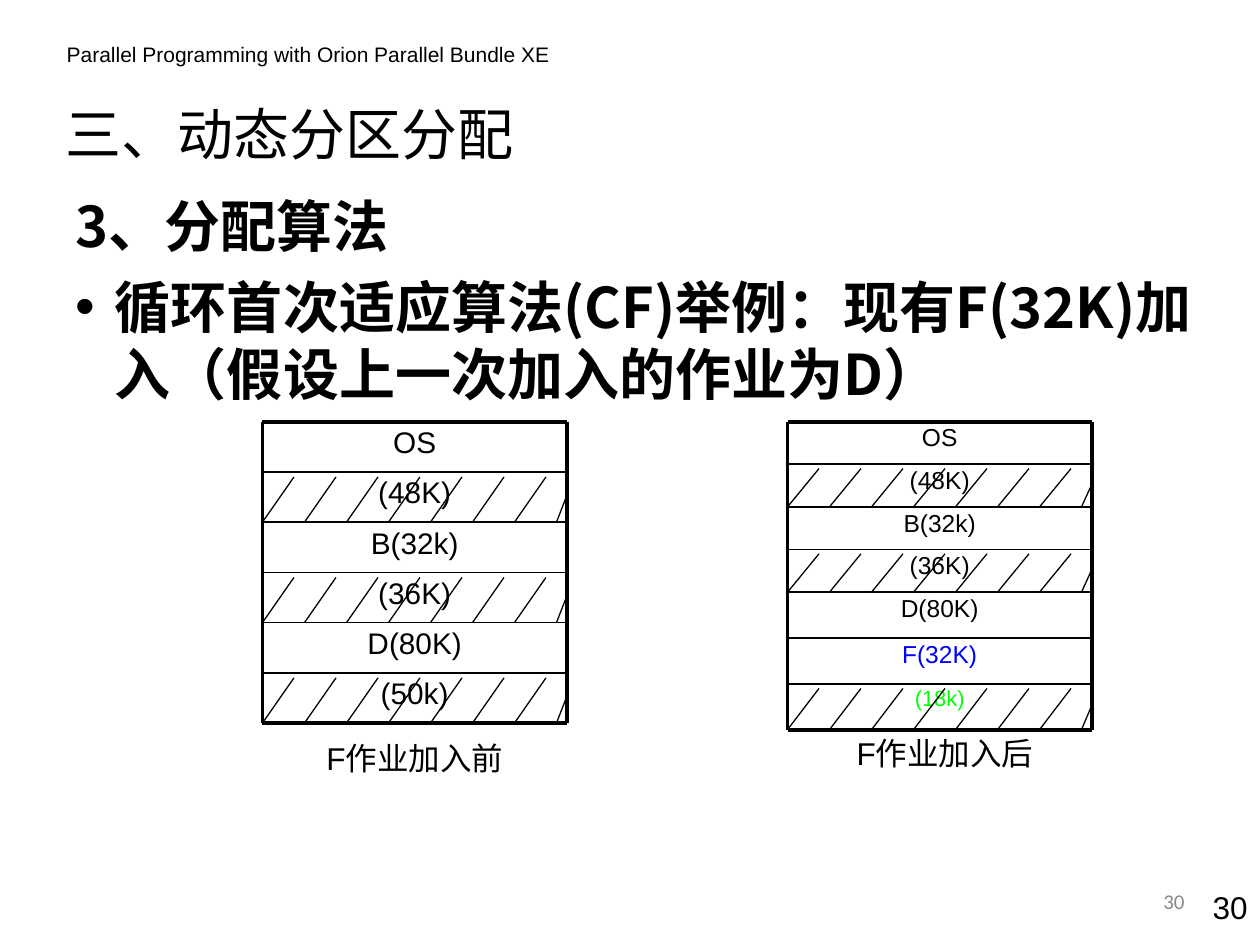
from dataclasses import dataclass

from lxml import etree
from pptx import Presentation
from pptx.dml.color import RGBColor
from pptx.enum.shapes import MSO_CONNECTOR
from pptx.enum.text import MSO_ANCHOR, MSO_AUTO_SIZE, PP_ALIGN
from pptx.oxml.ns import qn
from pptx.util import Pt

STRAIGHT = MSO_CONNECTOR.STRAIGHT
TOP, MIDDLE = MSO_ANCHOR.TOP, MSO_ANCHOR.MIDDLE
NO_FIT = MSO_AUTO_SIZE.NONE
LEFT, CENTER, RIGHT = PP_ALIGN.LEFT, PP_ALIGN.CENTER, PP_ALIGN.RIGHT


@dataclass(frozen=True)
class Theme:
    black: RGBColor = RGBColor(0, 0, 0)
    blue: RGBColor = RGBColor(0, 0, 255)
    green: RGBColor = RGBColor(0, 255, 0)
    gray: RGBColor = RGBColor(0x89, 0x89, 0x89)
    latin: str = "Arial"
    number: str = "Calibri"
    cjk: str = "Noto Sans CJK SC"
    heading: float = 32
    caption: float = 18
    cell: float = 17
    small_cell: float = 14
    tiny_cell: float = 12.5
    small: float = 12
    frame: float = 2.25
    divider: float = 1
    hatch: float = 0.75


theme = Theme()


def add_text(shapes, box, text, size, color=theme.black, font=theme.latin,
             align=LEFT, anchor=TOP, spacing=None):
    tf = shapes.add_textbox(*map(Pt, box)).text_frame
    tf.word_wrap = True
    tf.vertical_anchor = anchor
    p = tf.paragraphs[0]
    p.alignment = align
    p.line_spacing = spacing
    r = p.add_run()
    r.text = text
    r.font.size = Pt(size)
    r.font.name = font
    r.font.color.rgb = color


def add_line(shapes, x1, y1, x2, y2, width):
    sp = shapes.add_connector(STRAIGHT, Pt(x1), Pt(y1), Pt(x2), Pt(y2))
    sp.line.color.rgb = theme.black
    sp.line.width = Pt(width)
    etree.SubElement(sp._element.spPr, qn("a:effectLst"))


prs = Presentation()
prs.slide_width, prs.slide_height = Pt(720), Pt(540)
s = prs.slides.add_slide(prs.slide_layouts[1])

add_text(s.shapes, (31, 20, 295, 21.6),
         "Parallel Programming with Orion Parallel Bundle XE", theme.small)

title, body = s.placeholders
headings = [
    (title, (30, 49, 408, 54), MIDDLE, ["三、动态分区分配"]),
    (body, (36, 103, 684, 186), TOP,
     ["3、分配算法", "循环首次适应算法(CF)举例：现有F(32K)加入（假设上一次加入的作业为D）"]),
]
for sp, box, anchor, texts in headings:
    sp.left, sp.top, sp.width, sp.height = map(Pt, box)
    tf = sp.text_frame
    tf.auto_size = NO_FIT
    tf.vertical_anchor = anchor
    for i, text in enumerate(texts):
        p = tf.paragraphs[0] if i == 0 else tf.add_paragraph()
        p.alignment = LEFT
        p.space_before = Pt(8 * i)
        if sp is body:
            p.line_spacing = Pt(38.3)
            pPr = p._p.get_or_add_pPr()
            pPr.set("marL", str(Pt(22.5)))
            pPr.set("indent", str(Pt(-22.5)))
            if i == 0:
                etree.SubElement(pPr, qn("a:buNone"))
            else:
                etree.SubElement(pPr, qn("a:buFont"), typeface=theme.latin)
                etree.SubElement(pPr, qn("a:buChar"), char="•")
        r = p.add_run()
        r.text = text
        r.font.size = Pt(theme.heading)
        r.font.bold = sp is body
        r.font.color.rgb = theme.black
        r.font.name = theme.cjk
        etree.SubElement(r._r.get_or_add_rPr(), qn("a:ea"), typeface=theme.cjk)
body.text_frame.margin_top = Pt(6.6)

cell, small_cell = (theme.cell, theme.black), (theme.small_cell, theme.black)
top, width = 241, 174
memory_maps = [
    (150, 0.9, ("F作业加入前", 150, 419, 174), [
        ("OS", 28.7, False, *cell),
        ("(48K)", 28.7, True, *cell),
        ("B(32k)", 28.7, False, *cell),
        ("(36K)", 28.7, True, *cell),
        ("D(80K)", 28.7, False, *cell),
        ("(50k)", 28.7, True, *cell),
    ]),
    (450, 0.8, ("F作业加入后", 438, 416, 204), [
        ("OS", 24.35, False, *small_cell),
        ("(48K)", 24.35, True, *small_cell),
        ("B(32k)", 24.35, False, *small_cell),
        ("(36K)", 24.35, True, *small_cell),
        ("D(80K)", 26.2, False, *small_cell),
        ("F(32K)", 26.2, False, theme.small_cell, theme.blue),
        ("(18k)", 26.2, True, theme.tiny_cell, theme.green),
    ]),
]
for x, spacing, (caption, cap_x, cap_y, cap_w), rows in memory_maps:
    shapes = s.shapes.add_group_shape().shapes
    right, y = x + width, top
    for i, (text, h, free, size, color) in enumerate(rows):
        add_text(shapes, (x, y, width, h), text, size, color,
                 align=CENTER, spacing=spacing)
        add_line(shapes, x, y, right, y, theme.divider if i else theme.frame)
        y += h
        if free:
            for k in range(7):
                foot = x + 24 * k
                add_line(shapes, foot + 18, y - 0.9 * h, foot, y, theme.hatch)
            add_line(shapes, right, y - 0.54 * h, right - 6, y, theme.hatch)
    add_line(shapes, x, y, right, y, theme.frame)
    for side in (x, right):
        add_line(shapes, side, top, side, y, theme.frame)
    add_text(shapes, (cap_x, cap_y, cap_w, 29), caption, theme.caption, align=CENTER)

add_text(s.shapes, (672, 504, 48, 29), "30", theme.caption, align=RIGHT)
add_text(s.shapes, (516, 500.5, 168, 29), "30", theme.small, theme.gray,
         theme.number, RIGHT, MIDDLE)

prs.save("out.pptx")
